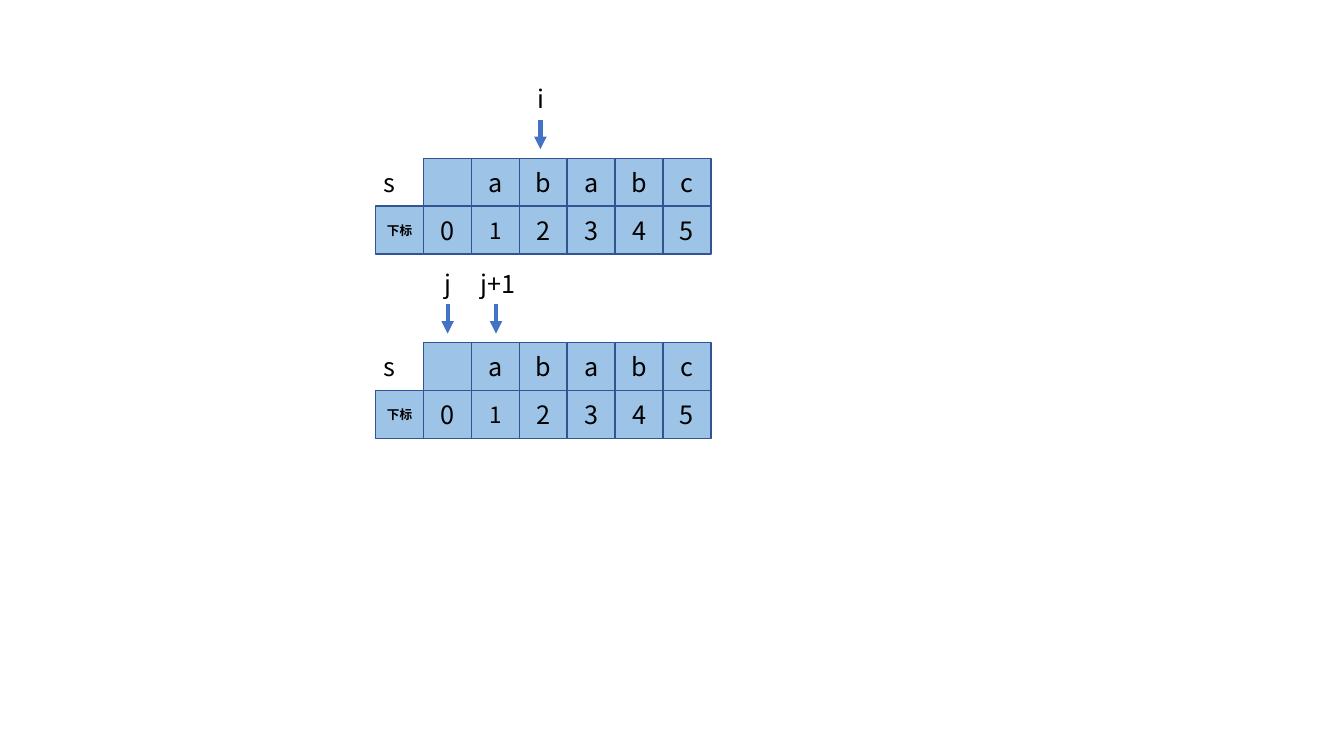
from dataclasses import dataclass

from lxml.etree import SubElement
from pptx import Presentation
from pptx.dml.color import RGBColor
from pptx.enum.shapes import MSO_CONNECTOR, MSO_SHAPE
from pptx.enum.text import MSO_ANCHOR, MSO_AUTO_SIZE, PP_ALIGN
from pptx.oxml.ns import qn
from pptx.util import Inches, Pt


# Theme
@dataclass(frozen=True)
class Theme:
    font: str = "Noto Sans CJK SC"
    text: RGBColor = RGBColor(0x00, 0x00, 0x00)
    cell_fill: RGBColor = RGBColor(0x9D, 0xC3, 0xE6)
    cell_line: RGBColor = RGBColor(0x32, 0x54, 0x91)
    arrow: RGBColor = RGBColor(0x44, 0x72, 0xC4)
    body_size: int = 18
    small_size: int = 16
    header_size: int = 9


THEME = Theme()

# Content
LETTERS = ["", "a", "b", "a", "b", "c"]
STRING_LABEL = "s"
INDEX_HEADER = "下标"
SMALL_INDEX = 1
# Each array: top of its letters, then pointers as
# (text, arrow x, label left, label width)
ARRAYS = [
    (1.57, [("i", 5.36, 5.23, 0.26)]),
    (3.40, [("j", 4.44, 4.31, 0.26), ("j+1", 4.92, 4.67, 0.56)]),
]

# Layout
ROW_LEFT = 4.2
CELL = 2.85 / len(LETTERS)
LABEL_HEIGHT = 0.4


def write(shape, text, size=THEME.body_size, bold=False, align=PP_ALIGN.LEFT):
    paragraph = shape.text_frame.paragraphs[0]
    paragraph.text = text
    paragraph.alignment = align
    font = paragraph.font
    font.name, font.size, font.bold = THEME.font, Pt(size), bold
    font.color.rgb = THEME.text
    # East Asian typeface
    properties = paragraph._p.pPr.find(qn("a:defRPr"))
    SubElement(properties, qn("a:ea")).set("typeface", THEME.font)


def add_cell(column, top, text, size=THEME.body_size, bold=False):
    cell = slide.shapes.add_shape(
        MSO_SHAPE.RECTANGLE, Inches(ROW_LEFT + column * CELL), Inches(top),
        Inches(CELL), Inches(CELL))
    cell.shadow.inherit = False
    cell.fill.solid()
    cell.fill.fore_color.rgb = THEME.cell_fill
    cell.line.color.rgb = THEME.cell_line
    cell.line.width = Pt(1)
    cell.text_frame.vertical_anchor = MSO_ANCHOR.MIDDLE
    if text:
        write(cell, text, size, bold, PP_ALIGN.CENTER)


def add_label(left, top, width, text):
    box = slide.shapes.add_textbox(
        Inches(left), Inches(top), Inches(width), Inches(LABEL_HEIGHT))
    box.text_frame.word_wrap = False
    box.text_frame.auto_size = MSO_AUTO_SIZE.SHAPE_TO_FIT_TEXT
    write(box, text)


def add_arrow(x, start, end):
    arrow = slide.shapes.add_connector(
        MSO_CONNECTOR.STRAIGHT, Inches(x), Inches(start), Inches(x), Inches(end))
    arrow.line.color.rgb = THEME.arrow
    arrow.line.width = Pt(3)
    line = arrow._element.spPr.find(qn("a:ln"))
    SubElement(line, qn("a:tailEnd")).set("type", "triangle")
    SubElement(arrow._element.spPr, qn("a:effectLst"))


# Slide
deck = Presentation()
deck.slide_width, deck.slide_height = Inches(13.33), Inches(7.5)
slide = deck.slides.add_slide(deck.slide_layouts[6])

# Arrays with their indexes and pointers
for top, pointers in ARRAYS:
    add_cell(-1, top + CELL, INDEX_HEADER, THEME.header_size, bold=True)
    for index, letter in enumerate(LETTERS):
        size = THEME.small_size if index == SMALL_INDEX else THEME.body_size
        add_cell(index, top, letter)
        add_cell(index, top + CELL, str(index), size)
    add_label(3.71, top + 0.04, 0.32, STRING_LABEL)
    for text, arrow_x, label_left, label_width in pointers:
        add_label(label_left, top - 0.79, label_width, text)
        add_arrow(arrow_x, top - 0.38, top - 0.09)

deck.save("out.pptx")
